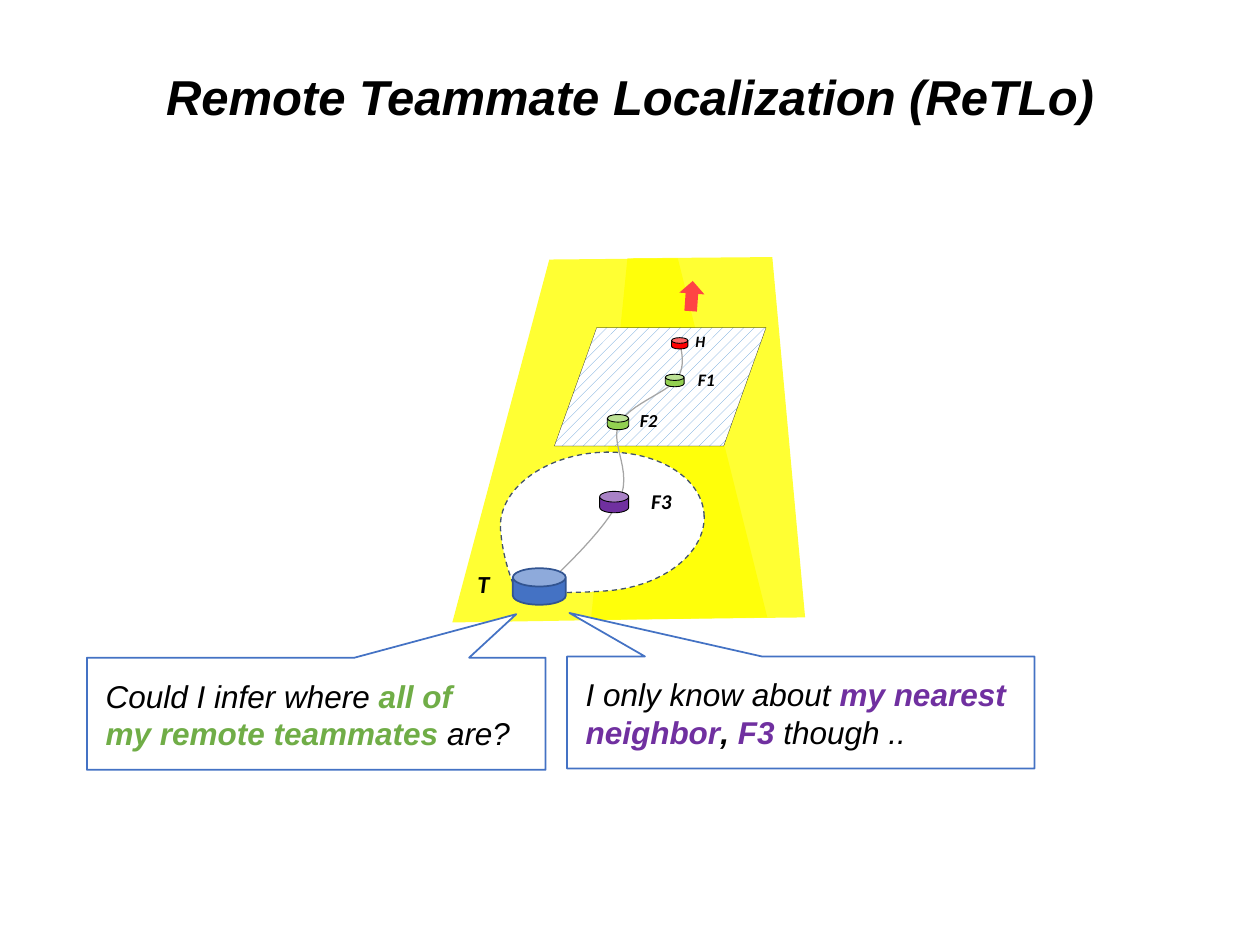
"""Build the Remote Teammate Localization slide."""
from lxml import etree
from pptx import Presentation
from pptx.dml.color import RGBColor
from pptx.enum import dml, shapes, text
from pptx.oxml.ns import qn
from pptx.util import Inches, Pt

BLACK = RGBColor(0x00, 0x00, 0x00)
WHITE = RGBColor(0xFF, 0xFF, 0xFF)
YELLOW = RGBColor(0xFF, 0xFF, 0x00)
RED = RGBColor(0xFF, 0x00, 0x00)
ARROW_RED = RGBColor(0xFF, 0x44, 0x44)
LIME = RGBColor(0x92, 0xD0, 0x50)
GREEN = RGBColor(0x70, 0xAD, 0x47)
PURPLE = RGBColor(0x70, 0x30, 0xA0)
BLUE = RGBColor(0x44, 0x72, 0xC4)
DARK_BLUE = RGBColor(0x32, 0x54, 0x91)
HATCH_BLUE = RGBColor(0x5B, 0x9B, 0xD5)
SLATE = RGBColor(0x44, 0x54, 0x6A)
GRAY = RGBColor(0xA5, 0xA5, 0xA5)

Shape = shapes.MSO_SHAPE

WALLS = [
    [(4.98, 2.05), (6.13, 2.04), (6.39, 4.9), (4.69, 4.92)],
    [(4.36, 2.06), (5.38, 2.05), (6.09, 4.9), (3.59, 4.94)],
]
TRAIL_START = (4.2, 4.77)
TRAIL_CURVES = [
    [(4.5, 4.49), (4.79, 4.21), (4.91, 3.98)],
    [(5.03, 3.75), (4.84, 3.53), (4.91, 3.37)],
    [(4.99, 3.21), (5.29, 3.12), (5.37, 3.01)],
    [(5.45, 2.9), (5.4, 2.78), (5.4, 2.72)],
]
ROBOTS = [
    ((4.07, 4.51, 0.42, 0.29), BLUE, DARK_BLUE, 1),
    ((4.76, 3.9, 0.23, 0.17), PURPLE, BLACK, 0.5),
    ((4.82, 3.29, 0.17, 0.12), LIME, BLACK, 0.5),
    ((5.33, 2.68, 0.13, 0.09), RED, BLACK, 0.5),
    ((5.28, 2.97, 0.15, 0.1), LIME, BLACK, 0.5),
]
LABELS = [
    ("T", (3.69, 4.47, 0.3, 0.34), 14),
    ("H", (5.42, 2.58, 0.28, 0.25), 9),
    ("F3", (5.07, 3.83, 0.36, 0.3), 12),
    ("F2", (4.98, 3.2, 0.35, 0.29), 10.5),
    ("F1", (5.44, 2.88, 0.34, 0.27), 10),
]
CALLOUTS = [
    ((0.69, 5.22, 3.64, 0.89), -0.436, (0.74, 5.32, 3.5, 0.71), [
        [("Could I infer where ", BLACK, False), ("all of", GREEN, True)],
        [("my remote teammates ", GREEN, True), ("are?", BLACK, False)],
    ]),
    ((4.5, 5.21, 3.71, 0.89), 0.495, (4.55, 5.31, 3.57, 0.71), [
        [("I only know about ", BLACK, False), ("my nearest neighbor", PURPLE, True),
         (", ", BLACK, True), ("F3", PURPLE, True), (" though ..", BLACK, False)],
    ]),
]


def style(shape, fill=None, line=None, width=0.5):
    """Set fill and line of a shape, without shadow."""
    shape.shadow.inherit = False
    if fill is None:
        shape.fill.background()
    else:
        shape.fill.solid()
        shape.fill.fore_color.rgb = fill
    if line is None:
        shape.line.fill.background()
    else:
        shape.line.color.rgb = line
        shape.line.width = Pt(width)
    return shape


def add_preset(slide, kind, box, adjustments=(), rotation=0, **look):
    """Add a styled preset shape."""
    shape = slide.shapes.add_shape(kind, *map(Inches, box))
    for index, value in enumerate(adjustments):
        shape.adjustments[index] = value
    shape.rotation = rotation
    return style(shape, **look)


def add_outline(slide, points, close, **look):
    """Add a styled freeform through points given in inches."""
    corners = [(Inches(x), Inches(y)) for x, y in points]
    builder = slide.shapes.build_freeform(*corners[0])
    builder.add_line_segments(corners[1:], close=close)
    return style(builder.convert_to_shape(), **look)


def add_text(slide, box, paragraphs, size, font="Arial", wrap=True):
    """Add an italic text box from paragraphs of (text, colour, bold) runs."""
    shape = slide.shapes.add_textbox(*map(Inches, box))
    frame = shape.text_frame
    frame.word_wrap = wrap
    for index, runs in enumerate(paragraphs):
        paragraph = frame.paragraphs[0] if index == 0 else frame.add_paragraph()
        paragraph.font.name = font
        paragraph.font.size = Pt(size)
        paragraph.font.italic = True
        for words, color, bold in runs:
            run = paragraph.add_run()
            run.text = words
            run.font.color.rgb = color
            run.font.bold = bold
    return frame


def add_title(slide):
    """Add the centred slide title."""
    frame = add_text(slide, (0.69, 0.46, 8.62, 0.66),
                     [[("Remote Teammate Localization (ReTLo)", BLACK, True)]], 28)
    frame.vertical_anchor = text.MSO_ANCHOR.MIDDLE
    frame.paragraphs[0].alignment = text.PP_ALIGN.CENTER
    frame.paragraphs[0].line_spacing = 0.9


def add_wall(slide, corners):
    """Add a translucent yellow wall."""
    wall = add_outline(slide, corners, True, fill=YELLOW)
    color = wall.fill._xPr.find(qn("a:solidFill"))[0]
    etree.SubElement(color, qn("a:alpha"), val="80000")


def add_hatched_area(slide):
    """Add the hatched parallelogram."""
    area = add_preset(slide, Shape.FLOWCHART_DATA, (4.4, 2.6, 1.68, 0.94),
                      line=BLACK, width=0.1)
    area.fill.patterned()
    area.fill.pattern = dml.MSO_PATTERN.DASHED_UPWARD_DIAGONAL
    area.fill.fore_color.rgb = HATCH_BLUE
    area.fill.back_color.rgb = WHITE


def curve_points(start, curves, steps=12):
    """Return points along a chain of cubic curves."""
    points = [start]
    for controls in curves:
        handles = [points[-1], *controls]
        for step in range(1, steps + 1):
            t = step / steps
            weights = ((1 - t) ** 3, 3 * t * (1 - t) ** 2, 3 * t * t * (1 - t), t ** 3)
            points.append(tuple(sum(weight * handle[axis]
                                    for weight, handle in zip(weights, handles))
                                for axis in (0, 1)))
    return points


def add_callout(slide, box, pointer, text_box, paragraphs):
    """Add a speech callout with its words."""
    add_preset(slide, Shape.RECTANGULAR_CALLOUT, box, (pointer, 0.888), 180,
               fill=WHITE, line=BLUE, width=1)
    add_text(slide, text_box, paragraphs, 18)


def main():
    """Build and save the slide."""
    presentation = Presentation()
    presentation.slide_width = Inches(10)
    presentation.slide_height = Inches(7.5)
    slide = presentation.slides.add_slide(presentation.slide_layouts[6])
    add_title(slide)
    for corners in WALLS:
        add_wall(slide, corners)
    view = add_preset(slide, Shape.TEAR, (3.97, 3.59, 1.62, 1.1), (0.895,), 175.6,
                      fill=WHITE, line=SLATE, width=0)
    view.line.dash_style = dml.MSO_LINE.DASH
    add_hatched_area(slide)
    add_outline(slide, curve_points(TRAIL_START, TRAIL_CURVES), False, line=GRAY, width=0.7)
    for box, fill, line, width in ROBOTS:
        add_preset(slide, Shape.CAN, box, (0.5,), fill=fill, line=line, width=width)
    for label, box, size in LABELS:
        add_text(slide, box, [[(label, BLACK, True)]], size, "Calibri", wrap=False)
    for callout in CALLOUTS:
        add_callout(slide, *callout)
    add_preset(slide, Shape.UP_ARROW, (5.39, 2.23, 0.2, 0.24), rotation=4, fill=ARROW_RED)
    presentation.save("out.pptx")


if __name__ == "__main__":
    main()
